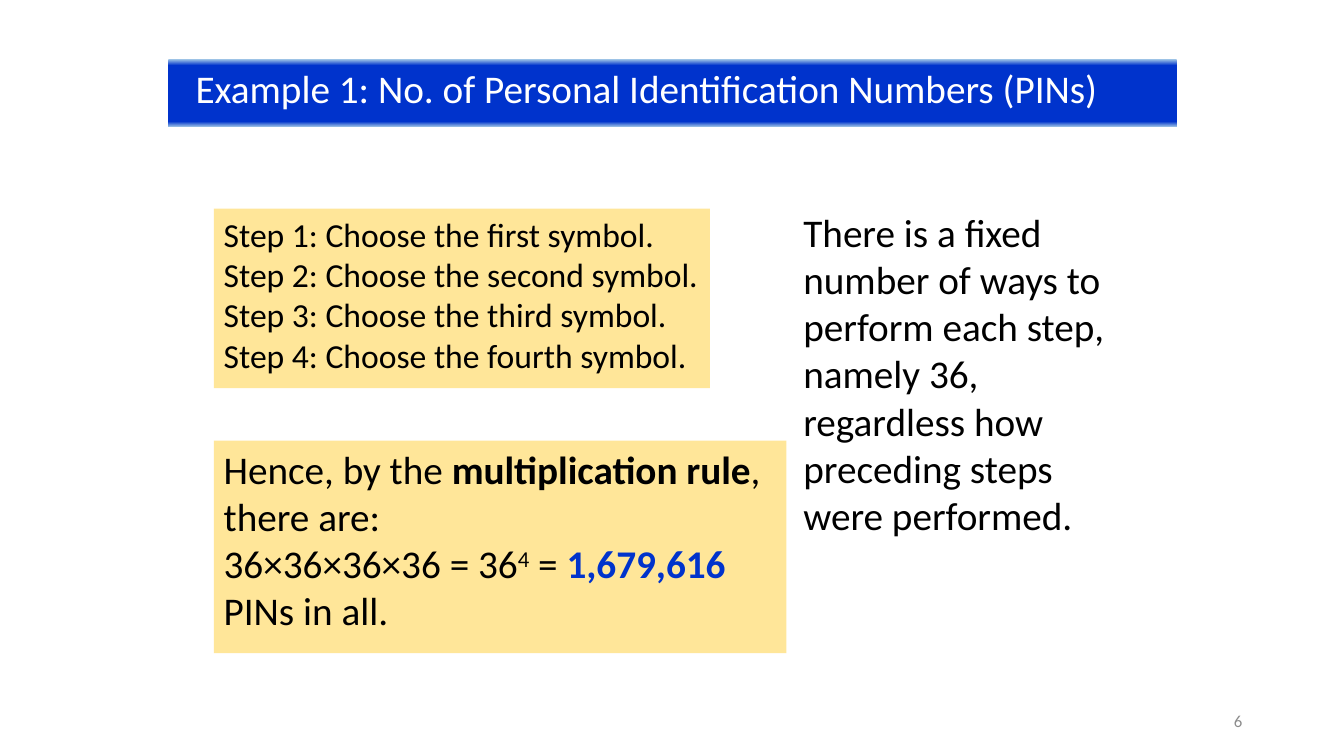
import copy
from dataclasses import dataclass

import pptx
import pptx.dml.color
import pptx.enum.shapes
import pptx.enum.text
import pptx.oxml.ns
import pptx.util

Inches = pptx.util.Inches
Align = pptx.enum.text.PP_ALIGN
Anchor = pptx.enum.text.MSO_ANCHOR

COLOURS = {
    "black": "000000",
    "white": "FFFFFF",
    "grey": "8C8C8C",
    "blue": "0033CC",
    "sky": "9DC3E6",
    "sand": "FFE699",
}
TITLE_STOPS = [(0, "sky"), (0.09, "blue"), (0.92, "blue"), (1, "sky")]


@dataclass
class Span:
    text: str
    bold: bool = False
    raised: bool = False
    colour: str | None = None


@dataclass
class TextBlock:
    left: float
    top: float
    width: float
    height: float
    paras: list[list[Span]]
    size: int = 28
    colour: str = "black"
    fill: str | None = None
    inset: float = 0.1
    align: Align = Align.LEFT
    anchor: Anchor = Anchor.TOP


ORDINALS = ["first", "second", "third", "fourth"]
TITLE = TextBlock(
    1.67, 0.59, 10, 0.67,
    [[Span("Example 1: No. of Personal Identification Numbers (PINs)")]],
    colour="white", fill="blue", inset=0.27,
)
BLOCKS = [
    TextBlock(
        9.42, 6.95, 3, 0.4, [[Span("6")]],
        size=12, colour="grey", align=Align.RIGHT, anchor=Anchor.MIDDLE,
    ),
    TextBlock(
        2.12, 2.07, 4.92, 1.78,
        [[Span(f"Step {number}: Choose the {ordinal} symbol.")]
         for number, ordinal in enumerate(ORDINALS, 1)],
        size=24, fill="sand",
    ),
    TextBlock(
        7.87, 2.02, 3.23, 3.4,
        [[Span("There is a fixed number of ways to perform each step, "
               "namely 36, regardless how preceding steps were performed.")]],
    ),
    TextBlock(
        2.12, 4.37, 5.68, 2.11,
        [
            [Span("Hence, by the "), Span("multiplication rule", bold=True),
             Span(", there are:")],
            [Span("36×36×36×36 = 36"), Span("4", raised=True), Span(" = "),
             Span("1,679,616", bold=True, colour="blue"),
             Span(" PINs in all.")],
        ],
        fill="sand",
    ),
]


def rgb(name: str) -> pptx.dml.color.RGBColor:
    return pptx.dml.color.RGBColor.from_string(COLOURS[name])


def write_paragraph(para, spans: list[Span], block: TextBlock) -> None:
    para.alignment = block.align
    for span in spans:
        run = para.add_run()
        run.text = span.text
        run.font.name = "Calibri"
        run.font.size = pptx.util.Pt(block.size)
        run.font.bold = span.bold
        run.font.color.rgb = rgb(span.colour or block.colour)
        if span.raised:
            run._r.get_or_add_rPr().set("baseline", "30000")


def draw_block(slide, block: TextBlock):
    place = [Inches(length) for length in
             (block.left, block.top, block.width, block.height)]
    if block.fill:
        box = slide.shapes.add_shape(
            pptx.enum.shapes.MSO_SHAPE.RECTANGLE, *place)
        box.shadow.inherit = False
        box.fill.solid()
        box.fill.fore_color.rgb = rgb(block.fill)
        box.line.fill.background()
    else:
        box = slide.shapes.add_textbox(*place)
    frame = box.text_frame
    frame.word_wrap = True
    frame.margin_left = Inches(block.inset)
    frame.vertical_anchor = block.anchor
    for index, spans in enumerate(block.paras):
        para = frame.add_paragraph() if index else frame.paragraphs[0]
        write_paragraph(para, spans, block)
    return box


def apply_gradient(box, stops: list[tuple[float, str]]) -> None:
    box.fill.gradient()
    box.fill.gradient_angle = 270
    stop_list = box._element.spPr.find(
        ".//" + pptx.oxml.ns.qn("a:gsLst"))
    while len(stop_list) < len(stops):
        stop_list.append(copy.deepcopy(stop_list[0]))
    for stop, (position, colour) in zip(box.fill.gradient_stops, stops):
        stop.position = position
        stop.color.rgb = rgb(colour)


def main() -> None:
    deck = pptx.Presentation()
    deck.slide_width = Inches(13.33)
    deck.slide_height = Inches(7.5)
    page = deck.slides.add_slide(deck.slide_layouts[6])
    apply_gradient(draw_block(page, TITLE), TITLE_STOPS)
    for block in BLOCKS:
        draw_block(page, block)
    deck.save("out.pptx")


if __name__ == "__main__":
    main()
